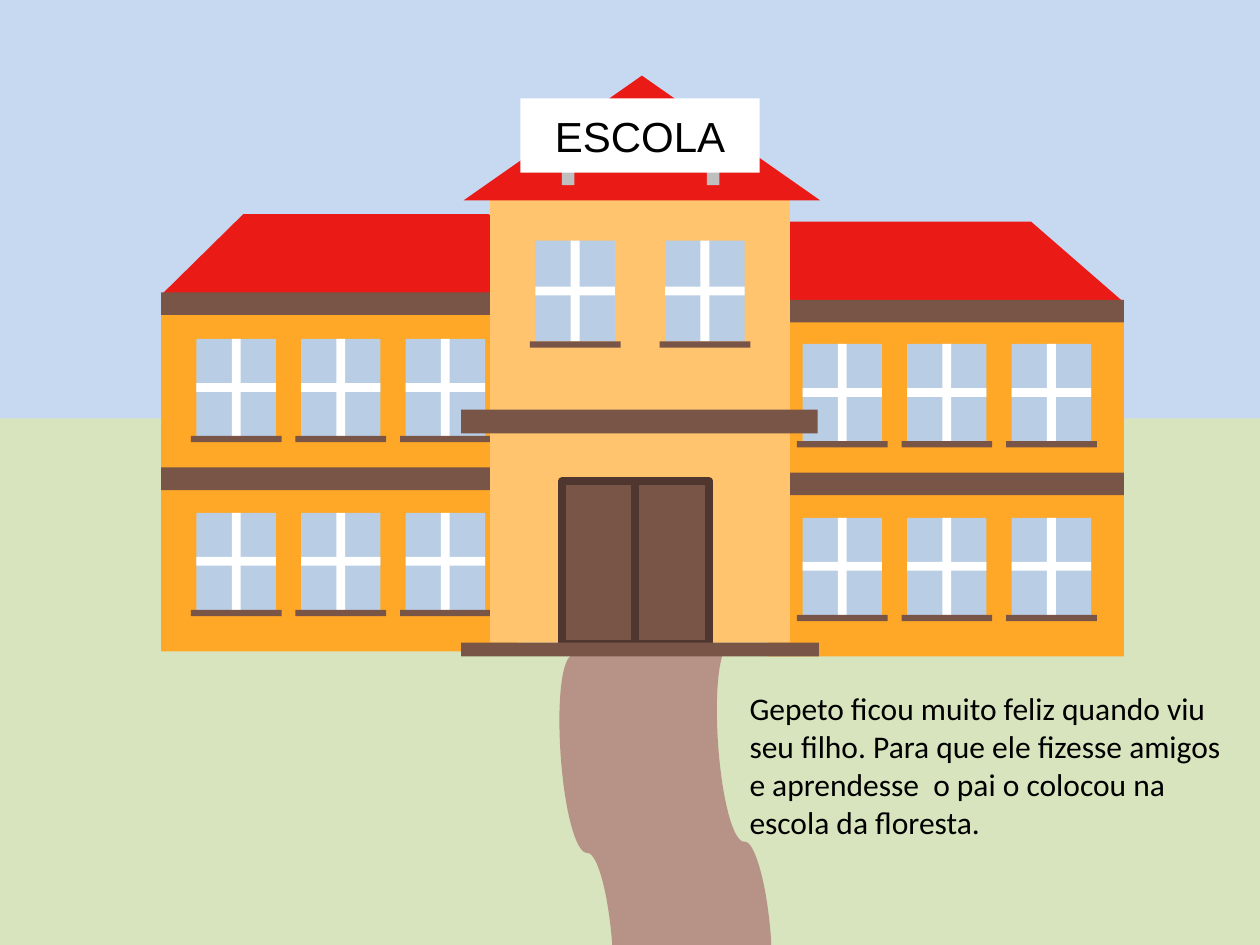
"""Build the slide of the forest school with its winding path."""
from pptx import Presentation
from pptx.dml.color import RGBColor
from pptx.enum.shapes import MSO_SHAPE
from pptx.enum.text import MSO_ANCHOR, MSO_AUTO_SIZE, PP_ALIGN
from pptx.util import Inches, Pt

SKY = RGBColor(0xC6, 0xD9, 0xF1)
GRASS = RGBColor(0xD7, 0xE4, 0xBD)
PATH = RGBColor(0xB7, 0x92, 0x87)
WALL = RGBColor(0xFF, 0xA7, 0x26)
TOWER = RGBColor(0xFF, 0xC4, 0x6D)
BROWN = RGBColor(0x79, 0x55, 0x48)
DOOR_FRAME = RGBColor(0x4F, 0x37, 0x2F)
GLASS = RGBColor(0xB9, 0xCD, 0xE5)
ROOF = RGBColor(0xEA, 0x1B, 0x16)
POST = RGBColor(0xBF, 0xBF, 0xBF)
WHITE = RGBColor(0xFF, 0xFF, 0xFF)
BLACK = RGBColor(0, 0, 0)

SIGN = "ESCOLA"
STORY = ("Gepeto ficou muito feliz quando viu seu filho. Para que ele fizesse amigos "
         "e aprendesse  o pai o colocou na escola da floresta.")

WINGS = [
    {"wall": (1.28, 2.34), "roof": (1.28, 1.70, 3.25, 0.64), "eave": (1.28, 2.32, 2.83, 0.18)},
    {"wall": (6.09, 2.38), "roof": (5.24, 1.76, 3.68, 0.64), "eave": (6.06, 2.38, 2.86, 0.18)},
]
WING_SIZE = 2.83
WINDOW_COLUMNS = [0.28 + 0.83 * column for column in range(3)]
WINDOW_ROWS = [0.35, 1.73]
WINDOW_WIDTH, WING_WINDOW_HEIGHT, TOWER_WINDOW_HEIGHT = 0.63, 0.77, 0.80
BAR, SILL_WIDTH, SILL_HEIGHT = 0.07, 0.72, 0.05
TOWER_WINDOWS = [(4.25, 1.91), (5.28, 1.91)]
LEDGES = [(3.66, 3.25, 2.83, 0.19), (3.66, 5.10, 2.84, 0.11)]
DOORS = [(4.46, 3.82, 0.59, 1.29), (5.04, 3.82, 0.59, 1.29)]
POSTS = [(4.46, 1.31, 0.10, 0.16), (5.61, 1.31, 0.10, 0.16)]

PATH_RIGHT = [(5.8, 5.11), (5.71, 5.12), (5.67, 5.47), (5.7, 5.91), (5.73, 6.34),
              (5.82, 6.69), (5.91, 6.68), (5.99, 6.67), (6.09, 7.02), (6.12, 7.45)]
PATH_LEFT = [(4.86, 7.5), (4.83, 7.09), (4.74, 6.76), (4.66, 6.77), (4.57, 6.77),
             (4.48, 6.43), (4.45, 5.99), (4.42, 5.56), (4.46, 5.2), (4.55, 5.2)]
CURVE_STEPS = 16


def style(shape, color):
    shape.shadow.inherit = False
    shape.fill.solid()
    shape.fill.fore_color.rgb = color
    shape.line.fill.background()
    return shape


def add_block(shapes, bounds, color, kind=MSO_SHAPE.RECTANGLE):
    return style(shapes.add_shape(kind, *map(Inches, bounds)), color)


def add_window(shapes, left, top, height):
    parts = shapes.add_group_shape().shapes
    middle = left + WINDOW_WIDTH / 2
    add_block(parts, (left, top, WINDOW_WIDTH, height), GLASS)
    add_block(parts, (left, top + (height - BAR) / 2, WINDOW_WIDTH, BAR), WHITE)
    add_block(parts, (middle - BAR / 2, top, BAR, height), WHITE)
    add_block(parts, (middle - SILL_WIDTH / 2, top + height, SILL_WIDTH, SILL_HEIGHT), BROWN)


def curve_points(controls):
    points = [controls[0]]
    for start in range(0, len(controls) - 1, 3):
        corners = controls[start:start + 4]
        for step in range(1, CURVE_STEPS + 1):
            t = step / CURVE_STEPS
            weights = ((1 - t) ** 3, 3 * t * (1 - t) ** 2, 3 * t * t * (1 - t), t ** 3)
            points.append(tuple(sum(weight * corner[axis] for weight, corner in zip(weights, corners))
                                for axis in (0, 1)))
    return points


def add_path(shapes):
    outline = curve_points(PATH_RIGHT) + [(6.12, 7.5)] + curve_points(PATH_LEFT)
    points = [(Inches(x), Inches(y)) for x, y in outline]
    builder = shapes.build_freeform(*points[0])
    builder.add_line_segments(points[1:], close=True)
    style(builder.convert_to_shape(), PATH)


def add_wing(shapes, wing):
    left, top = wing["wall"]
    add_block(shapes, (left, top, WING_SIZE, WING_SIZE), WALL)
    add_block(shapes, (left, top + 1.37, WING_SIZE, 0.18), BROWN)
    for row in WINDOW_ROWS:
        for column in WINDOW_COLUMNS:
            add_window(shapes, left + column, top + row, WING_WINDOW_HEIGHT)
    roof = add_block(shapes, wing["roof"], ROOF, MSO_SHAPE.FLOWCHART_MANUAL_OPERATION)
    roof.rotation = 180
    add_block(shapes, wing["eave"], BROWN)


def add_tower(shapes):
    add_block(shapes, (3.89, 1.53, 2.38, 3.57), TOWER)
    for left, top in TOWER_WINDOWS:
        add_window(shapes, left, top, TOWER_WINDOW_HEIGHT)
    for bounds in DOORS:
        door = add_block(shapes, bounds, BROWN)
        door.line.color.rgb = DOOR_FRAME
        door.line.width = Pt(4.5)
    for bounds in LEDGES:
        add_block(shapes, bounds, BROWN)
    add_block(shapes, (3.68, 0.6, 2.83, 0.99), ROOF, MSO_SHAPE.ISOSCELES_TRIANGLE)
    for bounds in POSTS:
        add_block(shapes, bounds, POST)


def write(box, text, font, size, alignment):
    frame = box.text_frame
    frame.text = text
    frame.word_wrap = True
    para = frame.paragraphs[0]
    para.alignment = alignment
    span = para.runs[0]
    span.font.name = font
    span.font.size = Pt(size)
    span.font.color.rgb = BLACK
    return frame


def main():
    deck = Presentation()
    deck.slide_width, deck.slide_height = Inches(10), Inches(7.5)
    page = deck.slides.add_slide(deck.slide_layouts[6])
    page.background.fill.solid()
    page.background.fill.fore_color.rgb = SKY
    shapes = page.shapes

    add_block(shapes, (0, 3.32, 10, 4.18), GRASS)
    add_path(shapes)
    for wing in WINGS:
        add_wing(shapes, wing)
    add_tower(shapes)

    sign = add_block(shapes, (4.13, 0.78, 1.9, 0.59), WHITE)
    write(sign, SIGN, "Arial", 24, PP_ALIGN.CENTER).vertical_anchor = MSO_ANCHOR.MIDDLE
    story = shapes.add_textbox(*map(Inches, (5.85, 5.42, 4.05, 1.31)))
    write(story, STORY, "Calibri", 18, PP_ALIGN.LEFT).auto_size = MSO_AUTO_SIZE.SHAPE_TO_FIT_TEXT

    deck.save("out.pptx")


if __name__ == "__main__":
    main()
